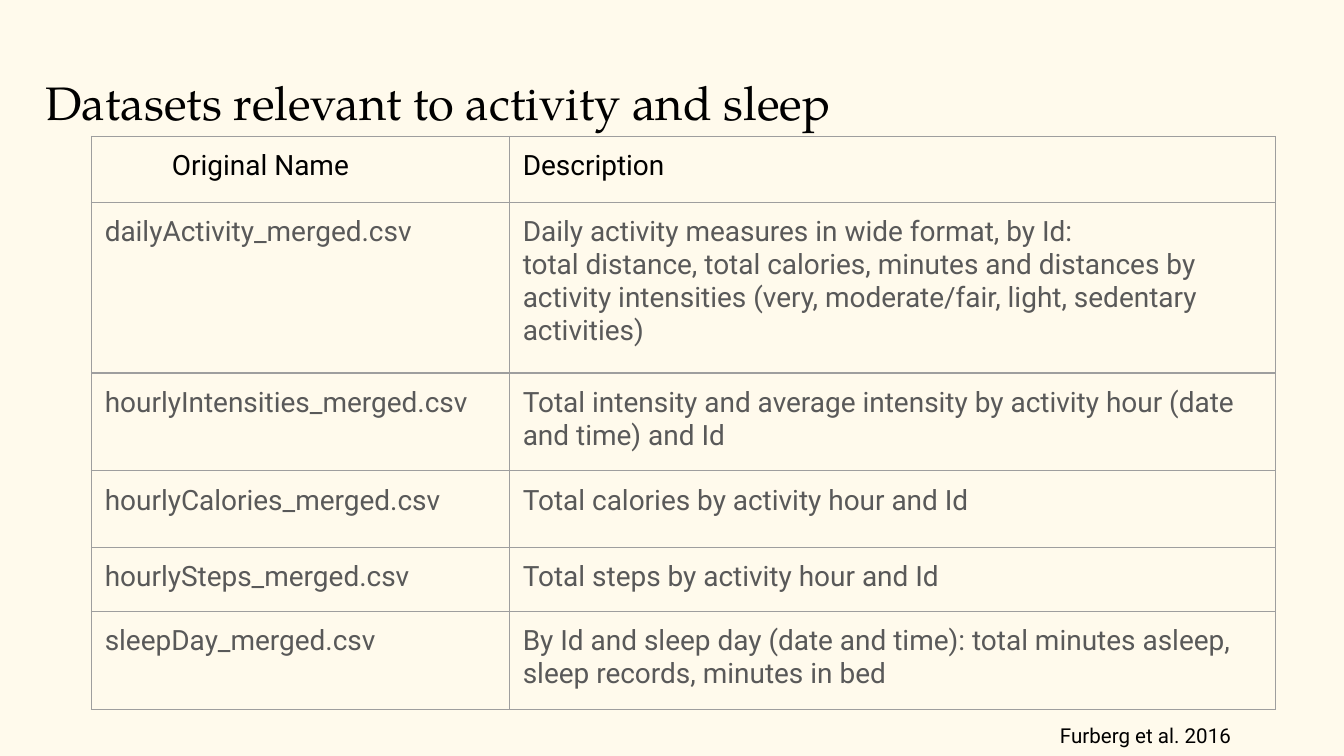
from dataclasses import dataclass

from lxml import etree
from pptx import Presentation
from pptx.dml.color import RGBColor
from pptx.enum import text
from pptx.oxml import ns
from pptx.util import Cm, Pt


@dataclass(frozen=True)
class Theme:
    background: str = "FFFAEC"
    ink: str = "000000"
    body: str = "595959"
    border: str = "9E9E9E"
    title_font: str = "TeX Gyre Pagella"
    body_font: str = "Roboto"
    title_size: float = 25.2
    table_size: float = 15
    source_size: float = 11
    border_width: float = 0.75
    inset: float = 0.25


THEME = Theme()
TITLE = "Datasets relevant to activity and sleep"
SOURCE = "Furberg et al. 2016"
COLUMN_WIDTHS = (7.9, 14.48)
ROW_HEIGHTS = (1.25, 3.22, 1.85, 1.45, 1.21, 1.85)
DATASETS = (
    ("Original Name", "Description"),
    ("dailyActivity_merged.csv",
     "Daily activity measures in wide format, by Id:\n"
     "total distance, total calories, minutes and distances by activity "
     "intensities (very, moderate/fair, light, sedentary activities)"),
    ("hourlyIntensities_merged.csv",
     "Total intensity and average intensity by activity hour (date and time) and Id"),
    ("hourlyCalories_merged.csv", "Total calories by activity hour and Id"),
    ("hourlySteps_merged.csv", "Total steps by activity hour and Id"),
    ("sleepDay_merged.csv",
     "By Id and sleep day (date and time): total minutes asleep, "
     "sleep records, minutes in bed"),
)


def set_insets(target):
    for side in ("left", "top", "right", "bottom"):
        setattr(target, f"margin_{side}", Cm(THEME.inset))


def write(frame, content, font, size, color, alignment=text.PP_ALIGN.LEFT):
    frame.text = content
    for paragraph in frame.paragraphs:
        paragraph.alignment = alignment
        paragraph.font.name = font
        paragraph.font.size = Pt(size)
        paragraph.font.color.rgb = RGBColor.from_string(color)


def add_title(slide):
    title = slide.shapes.title
    title.left, title.top, title.width, title.height = Cm(0.61), Cm(1.12), Cm(23.67), Cm(1.6)
    frame = title.text_frame
    set_insets(frame)
    frame.auto_size = text.MSO_AUTO_SIZE.NONE
    frame.vertical_anchor = text.MSO_ANCHOR.MIDDLE
    write(frame, TITLE, THEME.title_font, THEME.title_size, THEME.ink)


def set_borders(cell):
    properties = cell._tc.get_or_add_tcPr()
    for index, edge in enumerate(("lnL", "lnR", "lnT", "lnB")):
        line = etree.Element(ns.qn(f"a:{edge}"), w=str(Pt(THEME.border_width)))
        fill = etree.SubElement(line, ns.qn("a:solidFill"))
        etree.SubElement(fill, ns.qn("a:srgbClr"), val=THEME.border)
        properties.insert(index, line)


def add_dataset_table(slide):
    table = slide.shapes.add_table(
        len(DATASETS), len(COLUMN_WIDTHS), Cm(1.73), Cm(2.58),
        Cm(sum(COLUMN_WIDTHS)), Cm(sum(ROW_HEIGHTS))).table
    table.first_row = False
    table.horz_banding = False
    for column, width in zip(table.columns, COLUMN_WIDTHS):
        column.width = Cm(width)
    for index, (row, height, contents) in enumerate(zip(table.rows, ROW_HEIGHTS, DATASETS)):
        row.height = Cm(height)
        color = THEME.body if index else THEME.ink
        for cell, content in zip(row.cells, contents):
            set_insets(cell)
            cell.fill.background()
            set_borders(cell)
            write(cell.text_frame, content, THEME.body_font, THEME.table_size, color)
    name_header = table.cell(0, 0).text_frame.paragraphs[0]
    name_header._p.get_or_add_pPr().set("marL", str(Cm(1.27)))


def add_source(slide):
    frame = slide.shapes.add_textbox(Cm(18.62), Cm(13.44), Cm(4.9), Cm(0.99)).text_frame
    set_insets(frame)
    frame.word_wrap = True
    frame.auto_size = text.MSO_AUTO_SIZE.SHAPE_TO_FIT_TEXT
    write(frame, SOURCE, THEME.body_font, THEME.source_size, THEME.ink, text.PP_ALIGN.RIGHT)


def main():
    presentation = Presentation()
    presentation.slide_width, presentation.slide_height = Cm(25.4), Cm(14.29)
    slide = presentation.slides.add_slide(presentation.slide_layouts.get_by_name("Title Only"))
    slide.background.fill.solid()
    slide.background.fill.fore_color.rgb = RGBColor.from_string(THEME.background)
    add_title(slide)
    add_dataset_table(slide)
    add_source(slide)
    presentation.save("out.pptx")


if __name__ == "__main__":
    main()
